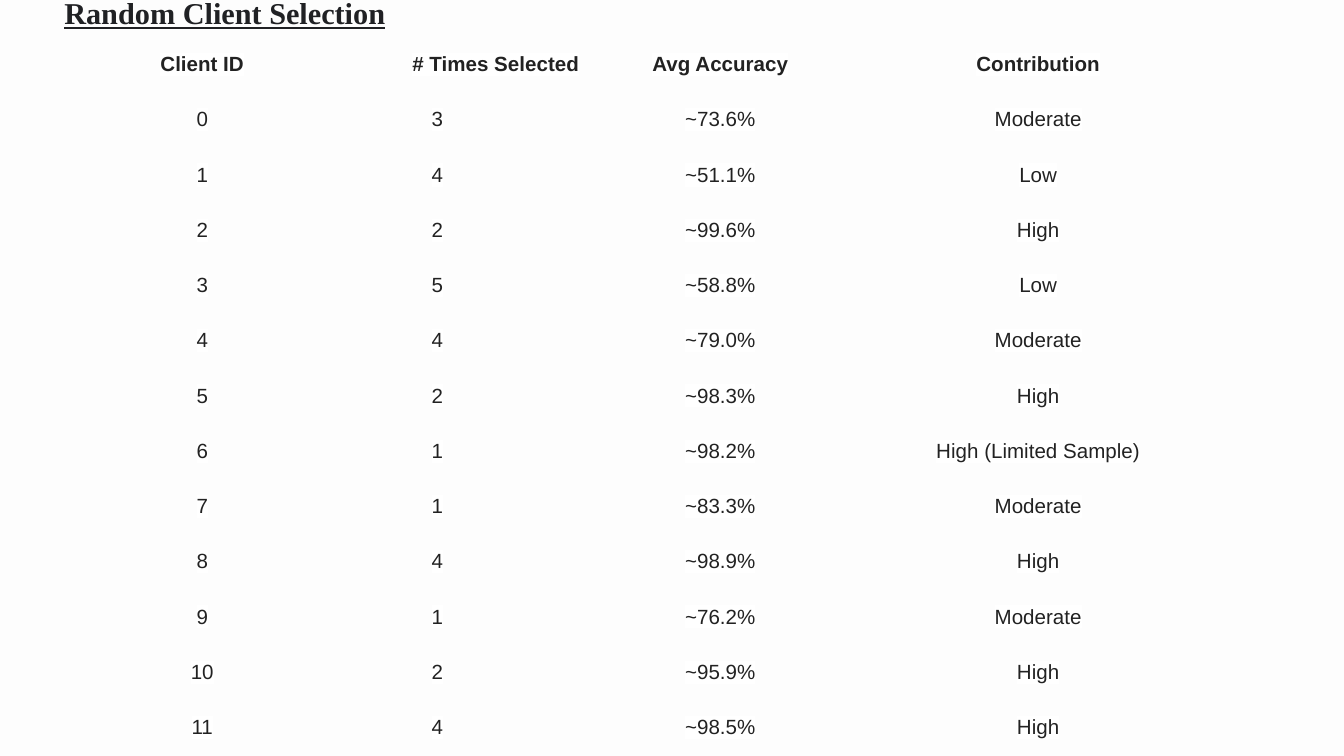
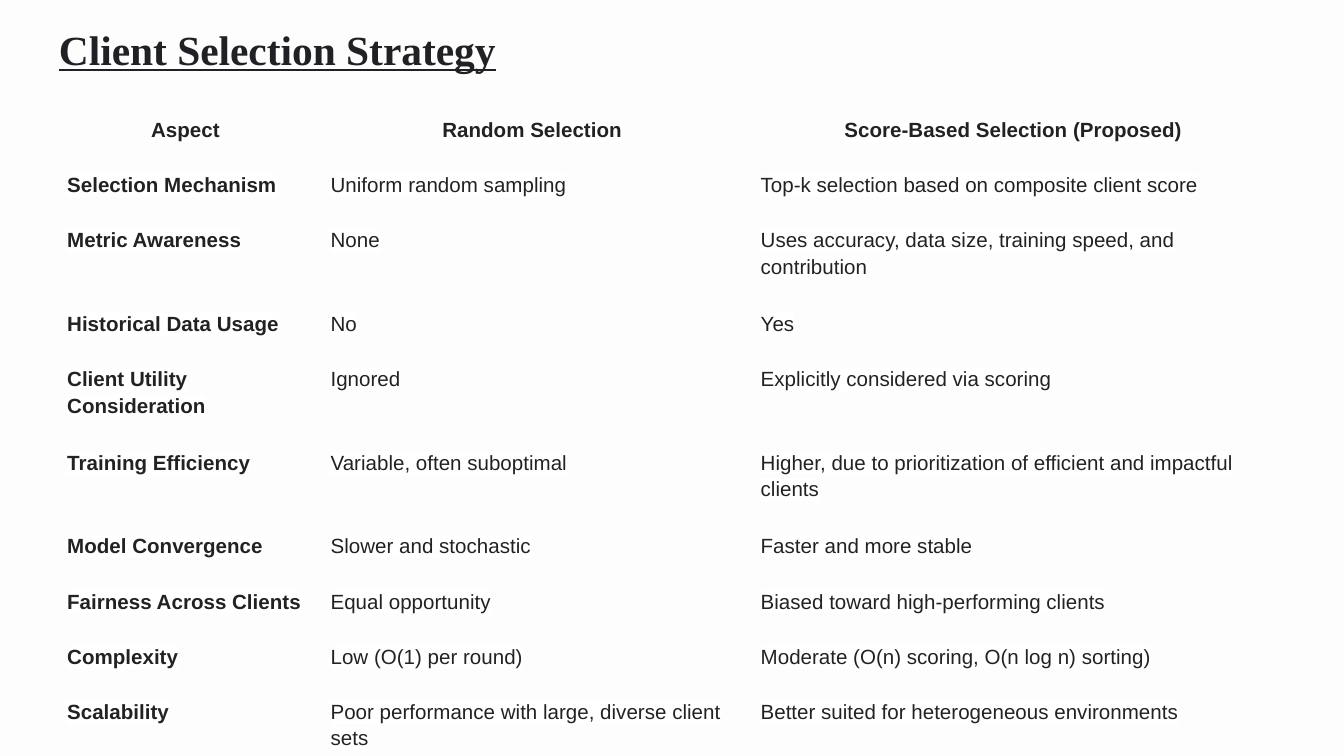
import dataclasses

import lxml.etree
import pptx
import pptx.dml.color
import pptx.enum.text
import pptx.oxml.ns
import pptx.util

Inches = pptx.util.Inches
Align = pptx.enum.text.PP_ALIGN


@dataclasses.dataclass(frozen=True)
class Theme:
    background: str = "FDFDFD"
    title_color: str = "202124"
    table_color: str = "222222"
    cell_fill: str = "FFFFFF"
    title_font: str = "Times New Roman"
    table_font: str = "Arial"
    small_title: float = 16.2
    large_title: float = 22.2
    table_size: float = 11
    title_spacing: float = 0.9
    table_spacing: float = 1.15
    inset: float = 0.1
    plain_table_style: str = "{2D5ABB26-0587-4C30-8999-92F81FD0307C}"


THEME = Theme()

CLIENT_ROWS = [
    ("Client ID", "# Times Selected", "Avg Accuracy", "Contribution"),
    ("0", "3", "~73.6%", "Moderate"),
    ("1", "4", "~51.1%", "Low"),
    ("2", "2", "~99.6%", "High"),
    ("3", "5", "~58.8%", "Low"),
    ("4", "4", "~79.0%", "Moderate"),
    ("5", "2", "~98.3%", "High"),
    ("6", "1", "~98.2%", "High (Limited Sample)"),
    ("7", "1", "~83.3%", "Moderate"),
    ("8", "4", "~98.9%", "High"),
    ("9", "1", "~76.2%", "Moderate"),
    ("10", "2", "~95.9%", "High"),
    ("11", "4", "~98.5%", "High"),
]

STRATEGY_ROWS = [
    ("Aspect", "Random Selection", "Score-Based Selection (Proposed)"),
    ("Selection Mechanism", "Uniform random sampling",
     "Top-k selection based on composite client score"),
    ("Metric Awareness", "None",
     "Uses accuracy, data size, training speed, and contribution"),
    ("Historical Data Usage", "No", "Yes"),
    ("Client Utility Consideration", "Ignored",
     "Explicitly considered via scoring"),
    ("Training Efficiency", "Variable, often suboptimal",
     "Higher, due to prioritization of efficient and impactful clients"),
    ("Model Convergence", "Slower and stochastic", "Faster and more stable"),
    ("Fairness Across Clients", "Equal opportunity",
     "Biased toward high-performing clients"),
    ("Complexity", "Low (O(1) per round)",
     "Moderate (O(n) scoring, O(n log n) sorting)"),
    ("Scalability", "Poor performance with large, diverse client sets",
     "Better suited for heterogeneous environments"),
]


def rgb(value):
    return pptx.dml.color.RGBColor.from_string(value)


def apply(target, values):
    for name, value in values.items():
        setattr(target, name, value)


def set_insets(target):
    sides = ("left", "top", "right", "bottom")
    apply(target, {f"margin_{side}": Inches(THEME.inset) for side in sides})


def write(para, text, color, spacing, alignment, font):
    apply(para, {"line_spacing": spacing, "alignment": alignment})
    span = para.add_run()
    span.text = text
    apply(span.font, font)
    span.font.color.rgb = rgb(color)
    return span


def highlight(span, color):
    mark = lxml.etree.Element(pptx.oxml.ns.qn("a:highlight"))
    lxml.etree.SubElement(mark, pptx.oxml.ns.qn("a:srgbClr"), val=color)
    properties = span.font._element
    properties.find(pptx.oxml.ns.qn("a:solidFill")).addnext(mark)


def add_page(deck):
    page = deck.slides.add_slide(deck.slide_layouts[6])
    fill = page.background.fill
    fill.solid()
    fill.fore_color.rgb = rgb(THEME.background)
    return page


def add_title(page, text, left, top, height, size):
    box = page.shapes.add_textbox(
        Inches(left), Inches(top), Inches(9.32), Inches(height))
    box.text_frame.word_wrap = True
    set_insets(box.text_frame)
    font = {"name": THEME.title_font, "size": pptx.util.Pt(size),
            "bold": True, "underline": True}
    write(box.text_frame.paragraphs[0], text, THEME.title_color,
          THEME.title_spacing, Align.LEFT, font)


def fill_clear(cell):
    cell.fill.solid()
    cell.fill.fore_color.rgb = rgb(THEME.cell_fill)
    properties = cell._tc.tcPr
    color = properties.find(".//" + pptx.oxml.ns.qn("a:srgbClr"))
    lxml.etree.SubElement(color, pptx.oxml.ns.qn("a:alpha"), val="0")


def fill_cell(cell, text, bold, alignment):
    set_insets(cell)
    fill_clear(cell)
    font = {"name": THEME.table_font, "bold": bold,
            "size": pptx.util.Pt(THEME.table_size)}
    span = write(cell.text_frame.paragraphs[0], text, THEME.table_color,
                 THEME.table_spacing, alignment, font)
    highlight(span, THEME.cell_fill)


def add_grid(page, rows, left, top, widths, row_height,
             head_alignments, body_alignment, bold_first_column):
    frame = page.shapes.add_table(
        len(rows), len(widths), Inches(left), Inches(top),
        Inches(sum(widths)), Inches(row_height * len(rows)))
    grid = frame.table
    apply(grid, {"first_row": False, "horz_banding": False})
    style = grid._tbl.find(".//" + pptx.oxml.ns.qn("a:tableStyleId"))
    style.text = THEME.plain_table_style
    for column, width in zip(grid.columns, widths):
        column.width = Inches(width)
    for row_index, texts in enumerate(rows):
        grid.rows[row_index].height = Inches(row_height)
        is_head = row_index == 0
        for column_index, text in enumerate(texts):
            bold = is_head or (bold_first_column and column_index == 0)
            alignment = head_alignments[column_index] if is_head else body_alignment
            fill_cell(grid.cell(row_index, column_index), text, bold, alignment)


def main():
    deck = pptx.Presentation()
    width = Inches(10)
    apply(deck, {"slide_width": width, "slide_height": width * 9 // 16})

    page = add_page(deck)
    add_title(page, "Random Client Selection", 0.38, -0.11, 0.45,
              THEME.small_title)
    add_grid(page, CLIENT_ROWS, 0.91, 0.27, (1.19, 2.31, 1.9, 2.83), 0.39,
             (Align.CENTER, Align.RIGHT, Align.CENTER, Align.CENTER),
             Align.CENTER, False)

    page = add_page(deck)
    add_title(page, "Client Selection Strategy", 0.34, 0.12, 0.54,
              THEME.large_title)
    add_grid(page, STRATEGY_ROWS, 0.4, 0.76, (1.96, 3.2, 3.96), 0.18,
             (Align.CENTER,) * 3, Align.LEFT, True)

    deck.save("out.pptx")


if __name__ == "__main__":
    main()
